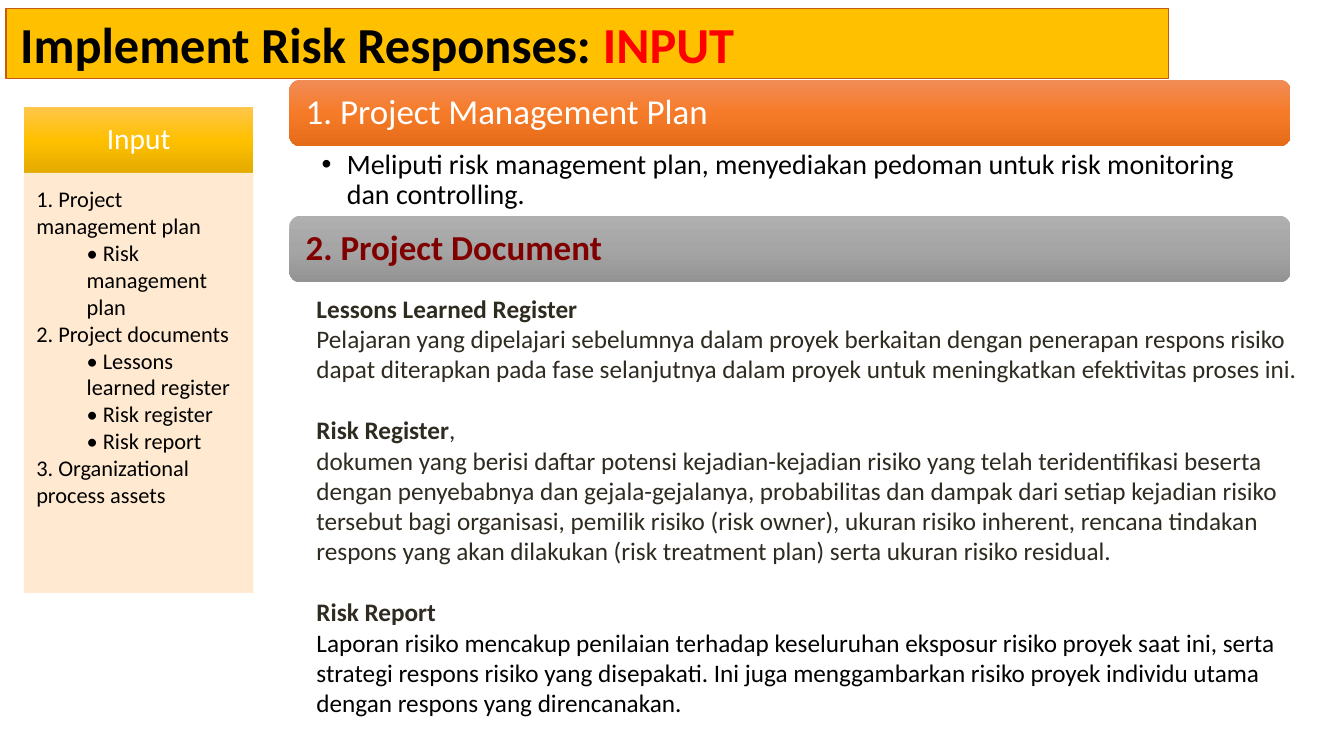
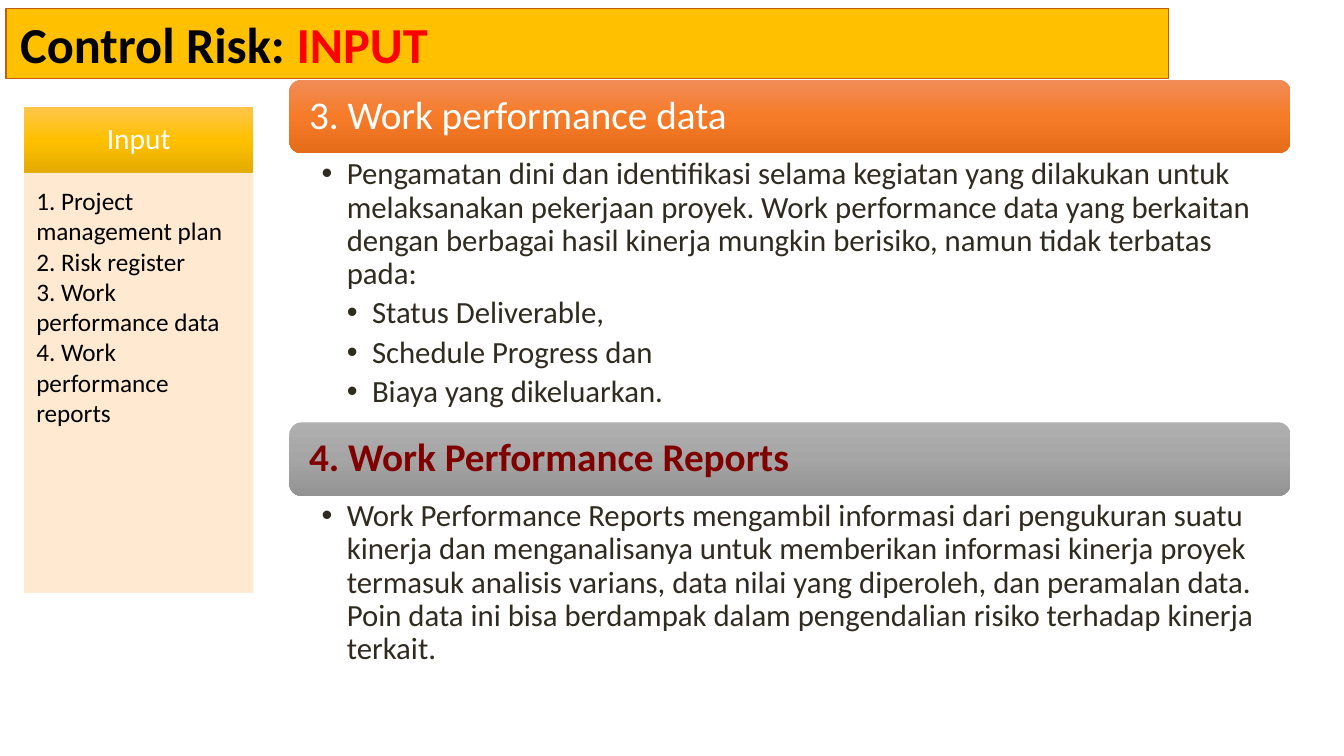
import copy

import pptx
import pptx.dml.color
import pptx.enum.shapes
import pptx.enum.text
import pptx.oxml
import pptx.oxml.ns
import pptx.util

PX = 9144
FONT = "Calibri"
BLACK, WHITE, INK = "000000", "FFFFFF", "2F2B20"
RED, MAROON = "FF0000", "800000"
AMBER, RUST, CREAM = "FFC000", "C55A11", "FFE8CC"
GOLD_FADE = ("FFC64B", AMBER, "E3AB00")
ORANGE_FADE = ("F18C57", "F67B28", "E56C19")
GRAY_FADE = ("AFAFAF", "A5A5A5", "939393")
RECTANGLE = pptx.enum.shapes.MSO_SHAPE.RECTANGLE
ROUNDED = pptx.enum.shapes.MSO_SHAPE.ROUNDED_RECTANGLE
TOP = pptx.enum.text.MSO_ANCHOR.TOP
MIDDLE = pptx.enum.text.MSO_ANCHOR.MIDDLE
LEFT = pptx.enum.text.PP_ALIGN.LEFT
CENTER = pptx.enum.text.PP_ALIGN.CENTER
CONTENT_LEFT, CONTENT_WIDTH = 287, 993


def px(length):
    return pptx.util.Emu(length * PX)


def rgb(color):
    return pptx.dml.color.RGBColor.from_string(color)


def add_panel(page, area, kind=RECTANGLE):
    panel = page.shapes.add_shape(kind, *map(px, area))
    panel.shadow.inherit = False
    panel.line.fill.background()
    return panel


def fill_solid(panel, color, line_color, line_width):
    panel.fill.solid()
    panel.fill.fore_color.rgb = rgb(color)
    panel.line.color.rgb = rgb(line_color)
    panel.line.width = pptx.util.Pt(line_width)


def fill_fade(panel, colors):
    panel.fill.gradient()
    panel.fill.gradient_angle = 270
    stop_list = panel.fill._xPr.find(".//" + pptx.oxml.ns.qn("a:gsLst"))
    stop_list.insert(1, copy.deepcopy(stop_list[0]))
    for index, (stop, color) in enumerate(zip(panel.fill.gradient_stops, colors)):
        stop.position = index / 2
        stop.color.rgb = rgb(color)


def set_opacity(panel, percent):
    for color in panel._element.spPr.iter(pptx.oxml.ns.qn("a:srgbClr")):
        alpha = color.makeelement(pptx.oxml.ns.qn("a:alpha"), {"val": str(percent * 1000)})
        color.append(alpha)


def set_frame(box, insets, anchor=TOP):
    frame = box.text_frame
    frame.word_wrap = True
    frame.vertical_anchor = anchor
    frame.margin_left, frame.margin_top, frame.margin_right, frame.margin_bottom = map(px, insets)
    return frame


def add_para(frame, spans, size, align=LEFT, indent=0, bullet=False, spacing=1.0, before=0):
    first = frame.paragraphs[0]
    para = frame.add_paragraph() if first.runs else first
    properties = para._p.get_or_add_pPr()
    properties.set("marL", str(px(indent)))
    properties.set("indent", str(px(-25 if bullet else 0)))
    if bullet:
        for tag, attribute, value in (("a:buFont", "typeface", "Arial"), ("a:buChar", "char", "•")):
            properties.append(properties.makeelement(pptx.oxml.ns.qn(tag), {attribute: value}))
    para.alignment = align
    para.line_spacing = spacing
    if before and para is not first:
        para.space_before = pptx.util.Pt(before)
    for text, color, bold in spans:
        span = para.add_run()
        span.text = text
        span.font.name = FONT
        span.font.size = pptx.util.Pt(size)
        span.font.bold = bold
        span.font.color.rgb = rgb(color)


def add_title(page, topic):
    band = add_panel(page, (6, 8, 1153, 70))
    fill_solid(band, AMBER, RUST, 0.75)
    frame = set_frame(band, (14, 5, 9, 5), MIDDLE)
    add_para(frame, [(topic + ": ", BLACK, True), ("INPUT", RED, True)], 36)


def add_sidebar(page, entries, size):
    left, width = 24, 227
    header = add_panel(page, (left, 106, width, 66))
    fill_fade(header, GOLD_FADE)
    frame = set_frame(header, (16, 9, 16, 9), MIDDLE)
    add_para(frame, [("Input", WHITE, False)], 21, align=CENTER, spacing=0.9)
    panel = add_panel(page, (left, 172, width, 416))
    fill_solid(panel, CREAM, CREAM, 0.5)
    set_opacity(panel, 90)
    frame = set_frame(panel, (12, 12, 16, 18))
    for text in entries:
        add_para(frame, [(text, BLACK, False)], size, indent=50 if text.startswith("•") else 0)


def add_heading(page, text, top, height, size, fade, color, bold=False):
    bar = add_panel(page, (CONTENT_LEFT, top, CONTENT_WIDTH, height), ROUNDED)
    fill_fade(bar, fade)
    inset = 13 if size < 28 else 16
    frame = set_frame(bar, (inset, 5, inset, 5), MIDDLE)
    add_para(frame, [(text, color, bold)], size, spacing=0.9)


def add_bullets(page, entries, top, height, size, color):
    box = page.shapes.add_textbox(*map(px, (CONTENT_LEFT, top, CONTENT_WIDTH, height)))
    frame = set_frame(box, (32, 4, 21, 4))
    for level, text in entries:
        add_para(frame, [(text, color, False)], size, indent=25 * level, bullet=True,
                 spacing=0.9, before=size / 5)


def add_documents(page, documents):
    box = page.shapes.add_textbox(*map(px, (304, 286, 999, 434)))
    frame = set_frame(box, (10, 5, 10, 5))
    for name, mark, text, color in documents:
        spans = [(name, INK, True)] + ([(mark, INK, False)] if mark else [])
        add_para(frame, spans, 18, before=22)
        add_para(frame, [(text, color, False)], 18)


def add_page(deck, topic, entries, size):
    page = deck.slides.add_slide(deck.slide_layouts[6])
    add_title(page, topic)
    add_sidebar(page, entries, size)
    return page


def build_responses(deck):
    page = add_page(deck, "Implement Risk Responses", [
        "1. Project management plan",
        "• Risk management plan",
        "2. Project documents",
        "• Lessons learned register",
        "• Risk register",
        "• Risk report",
        "3. Organizational process assets",
    ], 16)
    add_heading(page, "1. Project Management Plan", 79, 66, 25, ORANGE_FADE, WHITE)
    add_bullets(page, [
        (1, "Meliputi risk management plan, menyediakan pedoman untuk risk monitoring "
            "dan controlling."),
    ], 145, 69, 20, BLACK)
    add_heading(page, "2. Project Document", 214, 66, 25, GRAY_FADE, MAROON, True)
    add_documents(page, [
        ("Lessons Learned Register", "",
         "Pelajaran yang dipelajari sebelumnya dalam proyek berkaitan dengan penerapan "
         "respons risiko dapat diterapkan pada fase selanjutnya dalam proyek untuk "
         "meningkatkan efektivitas proses ini.", INK),
        ("Risk Register", ",",
         "dokumen yang berisi daftar potensi kejadian-kejadian risiko yang telah "
         "teridentifikasi beserta dengan penyebabnya dan gejala-gejalanya, probabilitas "
         "dan dampak dari setiap kejadian risiko tersebut bagi organisasi, pemilik risiko "
         "(risk owner), ukuran risiko inherent, rencana tindakan respons yang akan "
         "dilakukan (risk treatment plan) serta ukuran risiko residual.", INK),
        ("Risk Report", "",
         "Laporan risiko mencakup penilaian terhadap keseluruhan eksposur risiko proyek "
         "saat ini, serta strategi respons risiko yang disepakati. Ini juga menggambarkan "
         "risiko proyek individu utama dengan respons yang direncanakan.", BLACK),
    ])


def build_control(deck):
    page = add_page(deck, "Control Risk", [
        "1. Project management plan",
        "2. Risk register",
        "3. Work performance data",
        "4. Work performance reports",
    ], 18)
    add_heading(page, "3. Work performance data", 79, 73, 28, ORANGE_FADE, WHITE)
    add_bullets(page, [
        (1, "Pengamatan dini dan identifikasi selama kegiatan yang dilakukan untuk "
            "melaksanakan pekerjaan proyek. Work performance data yang berkaitan dengan "
            "berbagai hasil kinerja mungkin berisiko, namun tidak terbatas pada:"),
        (2, "Status Deliverable,"),
        (2, "Schedule Progress dan"),
        (2, "Biaya yang dikeluarkan."),
    ], 153, 266, 22, INK)
    add_heading(page, "4. Work Performance Reports", 419, 73, 28, GRAY_FADE, MAROON, True)
    add_bullets(page, [
        (1, "Work Performance Reports mengambil informasi dari pengukuran suatu kinerja "
            "dan menganalisanya untuk memberikan informasi kinerja proyek termasuk "
            "analisis varians, data nilai yang diperoleh, dan peramalan data. Poin data "
            "ini bisa berdampak dalam pengendalian risiko terhadap kinerja terkait."),
    ], 492, 177, 22, INK)


def main():
    deck = pptx.Presentation()
    deck.slide_width, deck.slide_height = px(1333), px(750)
    build_responses(deck)
    build_control(deck)
    deck.save("out.pptx")


if __name__ == "__main__":
    main()
